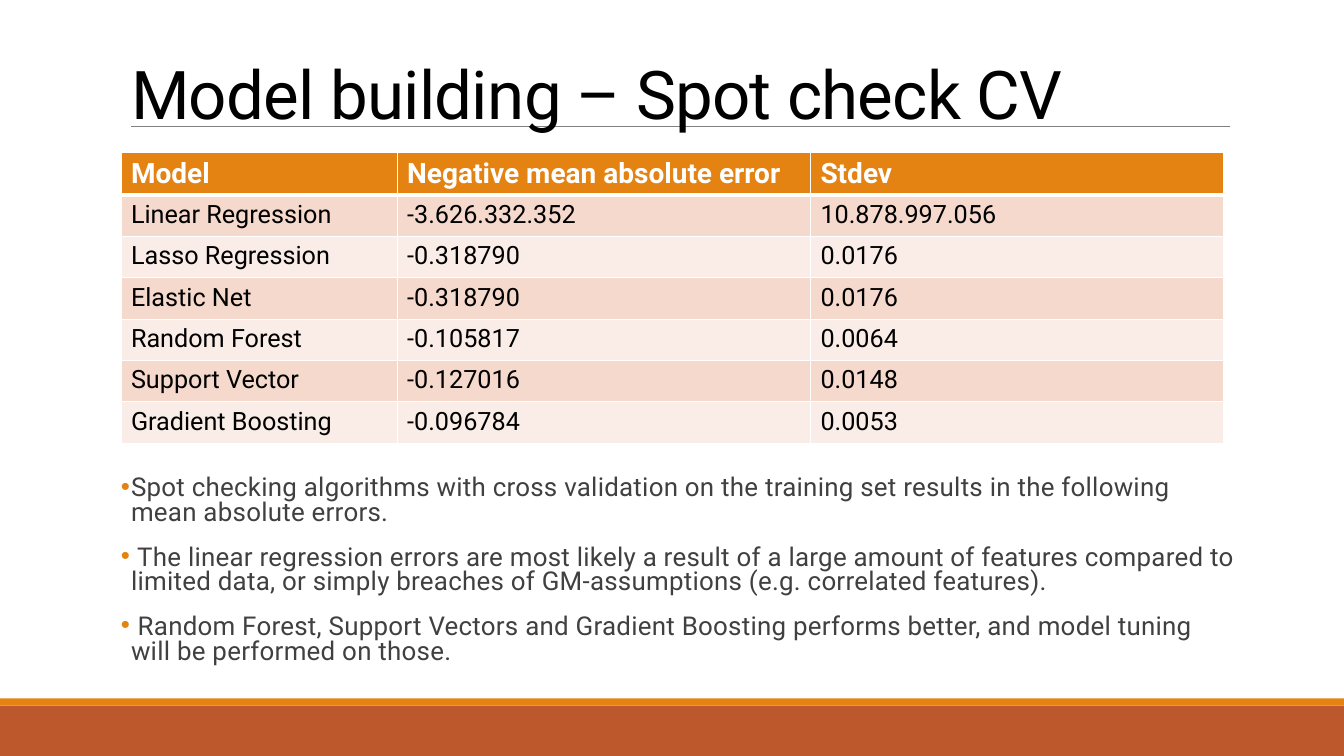
from dataclasses import dataclass
from typing import NamedTuple

from lxml import etree
from pptx import Presentation
from pptx import util as u
from pptx.dml.color import RGBColor
from pptx.enum import shapes, text
from pptx.oxml import ns


@dataclass(frozen=True)
class Theme:
    font: str = "Roboto"
    orange: str = "E48312"
    rust: str = "BD582C"
    rule: str = "808080"
    white: str = "FFFFFF"
    black: str = "000000"
    body: str = "404040"
    bands: tuple[str, str] = ("F5D9CC", "FAEDE7")
    title_size: float = 48
    header_size: float = 20
    cell_size: float = 18
    body_size: float = 18.5


class Area(NamedTuple):
    """Position and size in columns and rows of the slide grid."""
    column: float
    row: float
    columns: float
    rows: float


class Bar(NamedTuple):
    area: Area
    color: str


THEME = Theme()
UNIT = u.Inches(0.1)
COLUMNS, ROWS = 133.33, 75
LEFT = 12

BARS = (
    Bar(Area(0, 70, COLUMNS, 5), THEME.rust),
    Bar(Area(0, 69.3, COLUMNS, 0.7), THEME.orange),
)
TITLE_AREA = Area(LEFT, 3.1, 110, 10.6)
TABLE_AREA = Area(LEFT, 15.1, 109.4, 28.7)
BODY_AREA = Area(LEFT, 46.8, 110.9, 22.7)
RULE_START, RULE_END, RULE_ROW = 13, 122, 12.5
TABLE_COLUMNS = (27.4, 41, 41)

TITLE = "Model building – Spot check CV"
SCORES = (
    ("Model", "Negative mean absolute error", "Stdev"),
    ("Linear Regression", "-3.626.332.352", "10.878.997.056"),
    ("Lasso Regression", "-0.318790", "0.0176"),
    ("Elastic Net", "-0.318790", "0.0176"),
    ("Random Forest", "-0.105817", "0.0064"),
    ("Support Vector", "-0.127016", "0.0148"),
    ("Gradient Boosting", "-0.096784", "0.0053"),
)
FINDINGS = (
    "Spot checking algorithms with cross validation on the training set "
    "results in the following mean absolute errors.",
    " The linear regression errors are most likely a result of a large amount "
    "of features compared to limited data, or simply breaches of "
    "GM-assumptions (e.g. correlated features).",
    " Random Forest, Support Vectors and Gradient Boosting performs better, "
    "and model tuning will be performed on those.",
)


def grid(count: float) -> int:
    return round(count * UNIT)


def place(box, area: Area) -> None:
    box.left, box.top, box.width, box.height = map(grid, area)


def paint(fill, color: str) -> None:
    fill.solid()
    fill.fore_color.rgb = RGBColor.from_string(color)


def add_span(para, words: str, size: float, color: str,
             bold: bool = False, tracking: float = 0) -> None:
    """Add one run; tracking is the letter spacing in points."""
    span = para.add_run()
    span.text = words
    span.font.name = THEME.font
    span.font.size = u.Pt(size)
    span.font.bold = bold
    span.font.color.rgb = RGBColor.from_string(color)
    if tracking:
        span._r.get_or_add_rPr().set("spc", str(round(tracking * 100)))


def add_bar(page, bar: Bar) -> None:
    box = page.shapes.add_shape(shapes.MSO_SHAPE.RECTANGLE, *map(grid, bar.area))
    box.shadow.inherit = False
    paint(box.fill, bar.color)
    box.line.fill.background()


def add_title_rule(page) -> None:
    rule = page.shapes.add_connector(
        shapes.MSO_CONNECTOR.STRAIGHT,
        grid(RULE_START), grid(RULE_ROW), grid(RULE_END), grid(RULE_ROW))
    rule.line.color.rgb = RGBColor.from_string(THEME.rule)
    rule.line.width = u.Pt(0.5)
    etree.SubElement(rule.element.spPr, ns.qn("a:effectLst"))


def fill_title(title) -> None:
    place(title, TITLE_AREA)
    frame = title.text_frame
    frame.auto_size = text.MSO_AUTO_SIZE.NONE
    frame.vertical_anchor = text.MSO_ANCHOR.BOTTOM
    para = frame.paragraphs[0]
    para.alignment = text.PP_ALIGN.LEFT
    para.line_spacing = 0.85
    add_span(para, TITLE, THEME.title_size, THEME.black, tracking=-0.5)


def add_bullet(para) -> None:
    """Give the paragraph a coloured bullet with a hanging indent."""
    props = para._p.get_or_add_pPr()
    props.set("marL", str(grid(1)))
    props.set("indent", str(grid(-1)))
    color = etree.SubElement(props, ns.qn("a:buClr"))
    etree.SubElement(color, ns.qn("a:srgbClr"), val=THEME.orange)
    etree.SubElement(props, ns.qn("a:buChar"), char="•")


def fill_findings(body) -> None:
    place(body, BODY_AREA)
    frame = body.text_frame
    frame.auto_size = text.MSO_AUTO_SIZE.NONE
    frame.margin_left = frame.margin_right = 0
    for index, finding in enumerate(FINDINGS):
        para = frame.add_paragraph() if index else frame.paragraphs[0]
        para.line_spacing = 0.8
        para.space_before = u.Pt(12 if index else 0)
        para.space_after = u.Pt(2)
        add_bullet(para)
        add_span(para, finding, THEME.body_size, THEME.body, tracking=0.2)


def add_borders(cell, top: float, bottom: float) -> None:
    """Draw white borders; top and bottom are widths in points."""
    props = cell._tc.get_or_add_tcPr()
    for side, width in (("L", 1), ("R", 1), ("T", top), ("B", bottom)):
        line = etree.SubElement(props, ns.qn(f"a:ln{side}"), w=str(u.Pt(width)))
        fill = etree.SubElement(line, ns.qn("a:solidFill"))
        etree.SubElement(fill, ns.qn("a:srgbClr"), val=THEME.white)


def add_scores(page) -> None:
    table = page.shapes.add_table(
        len(SCORES), len(TABLE_COLUMNS), *map(grid, TABLE_AREA)).table
    for column, width in zip(table.columns, TABLE_COLUMNS):
        column.width = grid(width)
    for row, values in enumerate(SCORES):
        header = row == 0
        table.rows[row].height = grid(TABLE_AREA.rows / len(SCORES))
        for column, value in enumerate(values):
            cell = table.cell(row, column)
            add_borders(cell, 3 if row == 1 else 1, 3 if header else 1)
            paint(cell.fill, THEME.orange if header else THEME.bands[(row - 1) % 2])
            add_span(cell.text_frame.paragraphs[0], value,
                     THEME.header_size if header else THEME.cell_size,
                     THEME.white if header else THEME.black, bold=header)


def main() -> None:
    deck = Presentation()
    deck.slide_width, deck.slide_height = grid(COLUMNS), grid(ROWS)
    page = deck.slides.add_slide(deck.slide_layouts[1])
    paint(page.background.fill, THEME.white)
    title, body = page.placeholders
    for bar in BARS:
        add_bar(page, bar)
    add_title_rule(page)
    for box in (title, body):
        box.element.getparent().append(box.element)
    fill_title(title)
    fill_findings(body)
    add_scores(page)
    deck.save("out.pptx")


if __name__ == "__main__":
    main()
